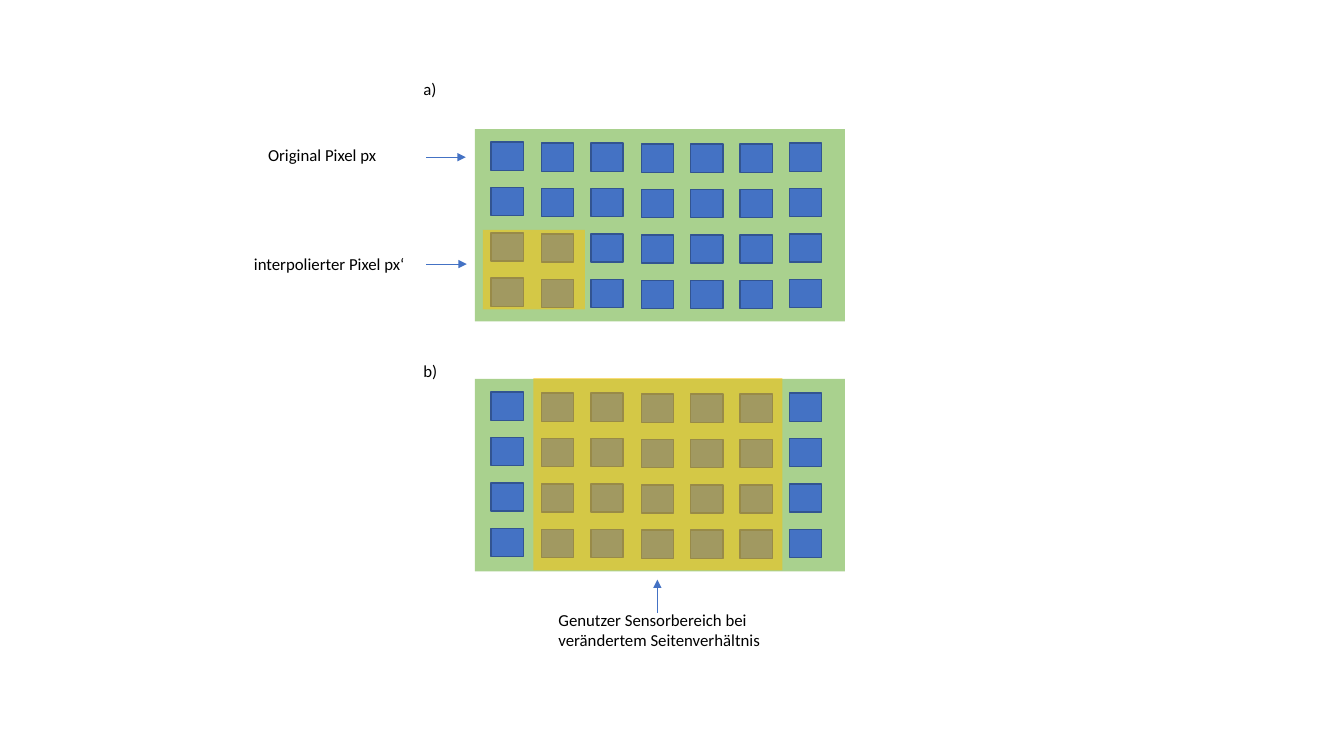
"""Build a slide comparing pixel interpolation with a cropped sensor area."""
from lxml.etree import SubElement
from pptx import Presentation
from pptx.dml.color import RGBColor
from pptx.enum.shapes import MSO_CONNECTOR, MSO_SHAPE
from pptx.enum.text import MSO_AUTO_SIZE
from pptx.oxml.ns import qn
from pptx.util import Inches, Pt

COLORS = {"sensor": "A9D18E", "pixel": "4472C4", "pixel_edge": "325491",
          "area": "FFC000", "arrow": "4472C4", "text": "000000"}

SENSORS = [
    {"top": 1.28, "area": (4.79, 2.28, 1.01, 0.79)},
    {"top": 3.76, "area": (5.29, 3.75, 2.47, 1.91)},
]
LABELS = [
    ("a)", (4.1, 0.73, 0.33, 0.3), False),
    ("Original Pixel px", (2.56, 1.39, 1.29, 0.3), False),
    ("interpolierter Pixel px‘", (2.42, 2.47, 1.71, 0.3), False),
    ("b)", (4.1, 3.53, 0.34, 0.3), False),
    ("Genutzer Sensorbereich bei verändertem Seitenverhältnis",
     (5.44, 6, 2.39, 0.5), True),
]
ARROWS = [
    (4.23, 1.56, 4.62, 1.56),
    (4.23, 2.62, 4.63, 2.62),
    (6.52, 6.08, 6.52, 5.75),
]

SENSOR_LEFT, SENSOR_WIDTH, SENSOR_HEIGHT = 4.71, 3.67, 1.91
PIXEL_WIDTH, PIXEL_HEIGHT = 0.32, 0.28
ROWS, ROW_STEP = 4, 0.45
COLUMN_LEFTS = [4.87, 5.37, 5.86, 6.36, 6.85, 7.34, 7.83]
COLUMN_DROPS = [0, 0.01, 0.01, 0.02, 0.02, 0.02, 0.01]
MARGIN_TOP = 0.13


def color(name):
    return RGBColor.from_string(COLORS[name])


def add_rectangle(slide, box, fill, edge=None, alpha=None):
    rectangle = slide.shapes.add_shape(MSO_SHAPE.RECTANGLE, *map(Inches, box))
    rectangle.shadow.inherit = False
    rectangle.fill.solid()
    rectangle.fill.fore_color.rgb = color(fill)
    if edge:
        rectangle.line.color.rgb = color(edge)
        rectangle.line.width = Pt(1)
    else:
        rectangle.line.fill.background()
    if alpha:
        tint = rectangle._element.spPr.find(qn("a:solidFill")).find(qn("a:srgbClr"))
        SubElement(tint, qn("a:alpha"), val=str(alpha * 1000))


def add_sensor(slide, top, area):
    add_rectangle(slide, (SENSOR_LEFT, top, SENSOR_WIDTH, SENSOR_HEIGHT), "sensor")
    for row in range(ROWS):
        for left, drop in zip(COLUMN_LEFTS, COLUMN_DROPS):
            pixel_top = top + MARGIN_TOP + row * ROW_STEP + drop
            add_rectangle(slide, (left, pixel_top, PIXEL_WIDTH, PIXEL_HEIGHT),
                          "pixel", "pixel_edge")
    add_rectangle(slide, area, "area", alpha=50)


def add_label(slide, text, box, wrap):
    frame = slide.shapes.add_textbox(*map(Inches, box)).text_frame
    frame.word_wrap = wrap
    frame.auto_size = MSO_AUTO_SIZE.SHAPE_TO_FIT_TEXT
    frame.text = text
    font = frame.paragraphs[0].font
    font.name, font.size = "Calibri", Pt(12)
    font.color.rgb = color("text")


def add_arrow(slide, ends):
    arrow = slide.shapes.add_connector(MSO_CONNECTOR.STRAIGHT, *map(Inches, ends))
    arrow.line.color.rgb = color("arrow")
    arrow.line.width = Pt(0.5)
    SubElement(arrow.line._get_or_add_ln(), qn("a:tailEnd"), type="triangle")
    SubElement(arrow._element.spPr, qn("a:effectLst"))


presentation = Presentation()
presentation.slide_width, presentation.slide_height = Inches(13.33), Inches(7.5)
slide = presentation.slides.add_slide(presentation.slide_layouts[6])
for sensor in SENSORS:
    add_sensor(slide, **sensor)
for label in LABELS:
    add_label(slide, *label)
for arrow_ends in ARROWS:
    add_arrow(slide, arrow_ends)
presentation.save("out.pptx")
